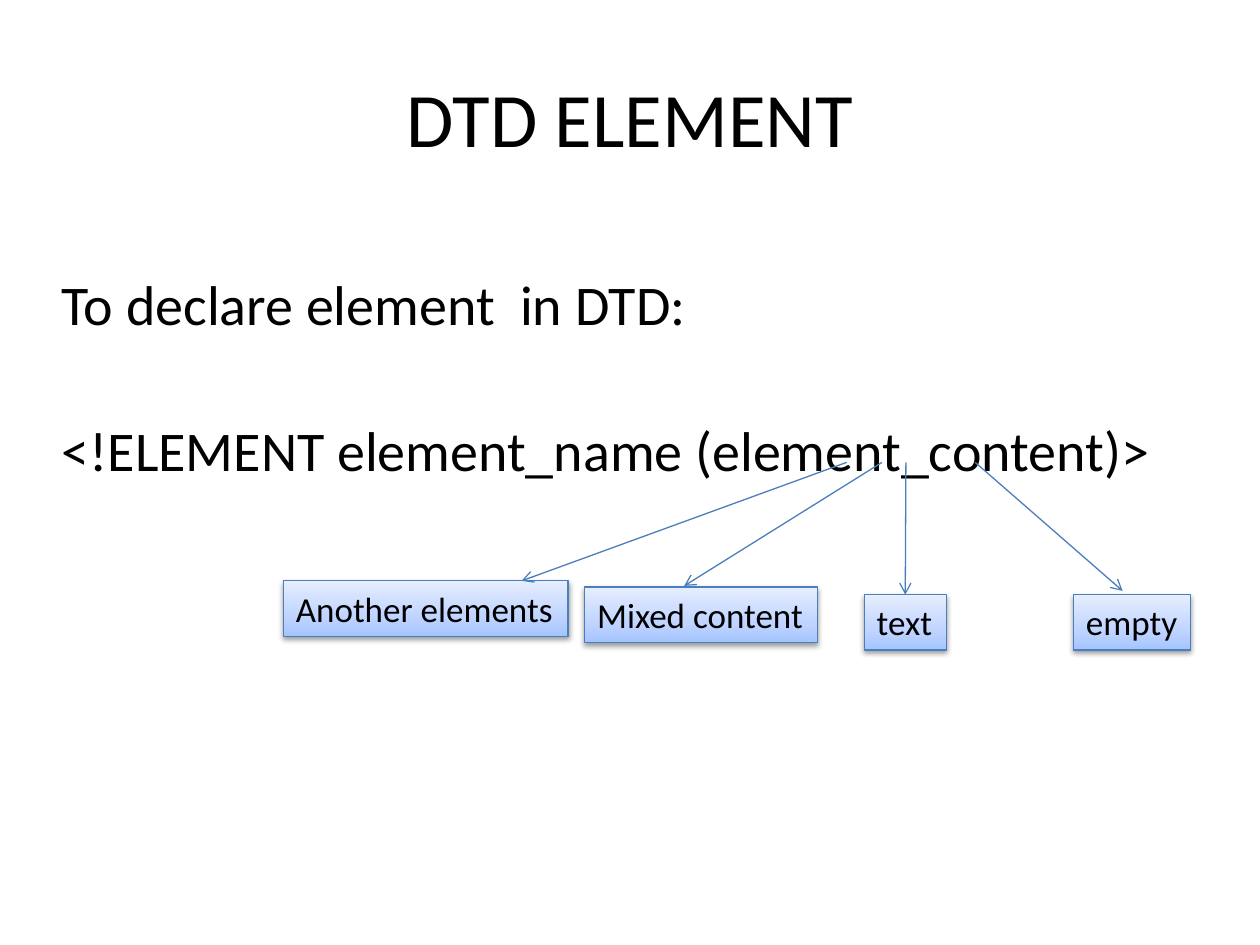
from lxml import etree
from pptx import Presentation, util as u
from pptx.dml.color import RGBColor
from pptx.enum import shapes, text
from pptx.oxml import parse_xml
from pptx.oxml.ns import nsdecls, qn

# Content
TITLE = "DTD ELEMENT"
BODY = ["To declare element  in DTD:", "<!ELEMENT element_name (element_content)>"]
# label, left, top, width, arrow start x, arrow end (None: middle of the top side)
KINDS = [
    ("Another elements", 2.25, 4.61, 2.26, 6.72, (4.14, 4.61)),
    ("Mixed content", 4.64, 4.66, 1.85, 7, (5.43, 4.65)),
    ("text", 6.86, 4.72, 0.65, 7.19, None),
    ("empty", 8.52, 4.72, 0.93, 7.74, (8.91, 4.69)),
]
ARROW_TOP, BOX_HEIGHT = 3.67, 0.44
LINE, BLACK = "4B7EBC", "000000"
STOPS = [(0, "A4C4FF"), (35, "BFD4FF"), (100, "E6EEFF")]


def color(value):
    return RGBColor.from_string(value)


def style_line(line):
    line.color.rgb = color(LINE)
    line.width = u.Pt(0.75)


def style_text(para, size):
    for span in para.runs:
        span.font.size = u.Pt(size)
        span.font.name = "Calibri"
        span.font.color.rgb = color(BLACK)


def add_text(left, top, width, height, lines, size):
    box = page.shapes.add_textbox(*map(u.Inches, (left, top, width, height)))
    box.text_frame.word_wrap = True
    box.text_frame.text = "\n".join(lines)
    for para in box.text_frame.paragraphs:
        style_text(para, size)
    return box.text_frame


def add_gradient(shape):
    stops = "".join(
        f'<a:gs pos="{share * 1000}"><a:srgbClr val="{value}"/></a:gs>'
        for share, value in STOPS)
    gradient = parse_xml(
        f'<a:gradFill {nsdecls("a")} rotWithShape="1"><a:gsLst>{stops}</a:gsLst>'
        '<a:lin ang="16200000" scaled="0"/></a:gradFill>')
    shape._element.spPr.find(qn("a:prstGeom")).addnext(gradient)


def add_shadow(shape):
    shape.shadow.inherit = False
    shape._element.spPr.find(qn("a:effectLst")).append(parse_xml(
        f'<a:outerShdw {nsdecls("a")} blurRad="{u.Pt(3.1)}" dist="{u.Pt(1.6)}" '
        'dir="5400000" rotWithShape="0"><a:srgbClr val="000000">'
        '<a:alpha val="38000"/></a:srgbClr></a:outerShdw>'))


def add_box(label, left, top, width):
    box = page.shapes.add_shape(
        shapes.MSO_SHAPE.RECTANGLE, *map(u.Inches, (left, top, width, BOX_HEIGHT)))
    style_line(box.line)
    add_gradient(box)
    add_shadow(box)
    frame = box.text_frame
    frame.text = label
    frame.word_wrap = False
    frame.auto_size = text.MSO_AUTO_SIZE.SHAPE_TO_FIT_TEXT
    frame.vertical_anchor = text.MSO_ANCHOR.TOP
    frame.paragraphs[0].alignment = text.PP_ALIGN.LEFT
    style_text(frame.paragraphs[0], 20)
    return box


def add_arrow(start_x, end, box):
    end_x, end_y = end or (start_x, ARROW_TOP)
    arrow = page.shapes.add_connector(
        shapes.MSO_CONNECTOR.STRAIGHT,
        *map(u.Inches, (start_x, ARROW_TOP, end_x, end_y)))
    if end is None:
        arrow.end_connect(box, 0)
    style_line(arrow.line)
    properties = arrow._element.spPr
    etree.SubElement(properties.find(qn("a:ln")), qn("a:tailEnd"), type="arrow")
    etree.SubElement(properties, qn("a:effectLst"))


deck = Presentation()
deck.slide_width, deck.slide_height = u.Inches(10), u.Inches(7.5)
page = deck.slides.add_slide(deck.slide_layouts[6])

# Title
title = add_text(0.5, 0.3, 9, 1.25, [TITLE], 44)
title.vertical_anchor = text.MSO_ANCHOR.MIDDLE
title.paragraphs[0].alignment = text.PP_ALIGN.CENTER

# Declaration syntax
for para in add_text(0.39, 1.56, 9.11, 5.14, BODY, 32).paragraphs:
    para.line_spacing = 2.0
    para.space_before = u.Pt(6.4)
    indent = para._p.get_or_add_pPr()
    indent.set("marL", str(u.Inches(0.38)))
    indent.set("indent", str(-u.Inches(0.38)))

# Kinds of content, each with its arrow
for label, left, top, width, start_x, end in KINDS:
    add_arrow(start_x, end, add_box(label, left, top, width))

deck.save("out.pptx")
